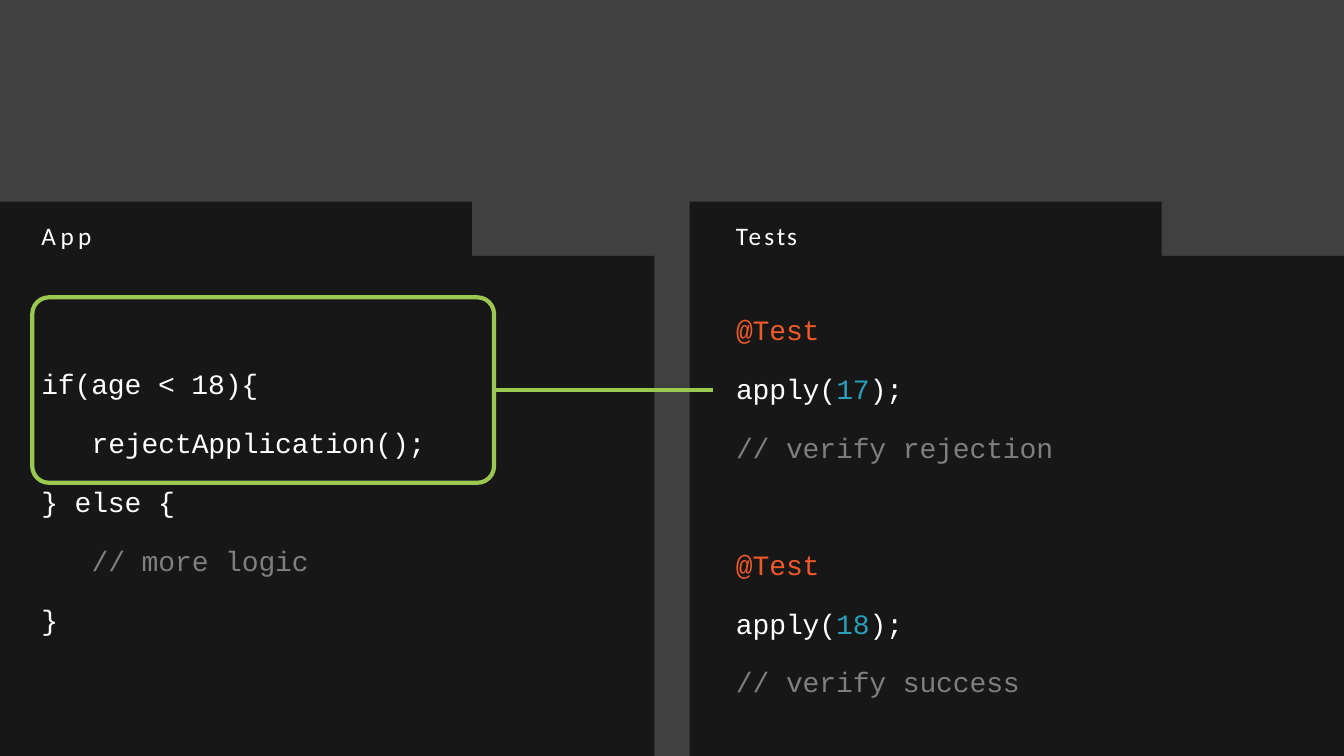
import pptx
import pptx.dml.color
import pptx.enum.shapes
import pptx.enum.text
import pptx.oxml
import pptx.util

Inches, Pt = pptx.util.Inches, pptx.util.Pt

SLIDE_W, SLIDE_H = 13.33, 7.5
PANEL_W, PANEL_TOP = 6.49, 2
TAB_W, TAB_H = 4.68, 0.54
WHITE, GREY, ORANGE, BLUE, GREEN = "FFFFFF", "7F7F7F", "F05A28", "2A9FBC", "9BC850"
CODE_SPACING = -0.1


def color(hex_value):
    return pptx.dml.color.RGBColor.from_string(hex_value)


def add_text(slide, box, lines, font, size):
    """Each line is (indent, runs); each run is (text, colour, letter spacing)."""
    textbox = slide.shapes.add_textbox(*map(Inches, box))
    frame = textbox.text_frame
    frame.word_wrap = True
    frame.auto_size = pptx.enum.text.MSO_AUTO_SIZE.SHAPE_TO_FIT_TEXT
    frame.margin_left = frame.margin_right = frame.margin_bottom = 0
    frame.margin_top = Inches(0.01)
    for number, (indent, runs) in enumerate(lines):
        paragraph = frame.add_paragraph() if number else frame.paragraphs[0]
        paragraph.space_before = Pt(18 if number else 1)
        paragraph._p.get_or_add_pPr().set("marL", str(Inches(indent + 0.01)))
        for text, hex_value, spacing in runs:
            run = paragraph.add_run()
            run.text = text
            run.font.name = font
            run.font.size = Pt(size)
            run.font.color.rgb = color(hex_value)
            run._r.get_or_add_rPr().set("spc", str(round(spacing * 100)))


def add_code(slide, box, lines):
    spaced = [(indent, [(text, hex_value, CODE_SPACING) for text, hex_value in runs])
              for indent, runs in lines]
    add_text(slide, box, spaced, "Courier New", 20)


def add_panel(slide, left, inset, label, label_width, spacings):
    """Dark panel with a tab at its top left and a letter-spaced label in the tab."""
    right, bottom = left + PANEL_W, SLIDE_H
    shoulder = PANEL_TOP + TAB_H
    outline = [(left + TAB_W, PANEL_TOP), (left + TAB_W, shoulder),
               (right, shoulder), (right, bottom), (left, bottom)]
    builder = slide.shapes.build_freeform(Inches(left), Inches(PANEL_TOP))
    builder.add_line_segments([(Inches(x), Inches(y)) for x, y in outline], close=True)
    panel = builder.convert_to_shape()
    panel.shadow.inherit = False
    panel.fill.solid()
    panel.fill.fore_color.rgb = color("171717")
    panel.line.fill.background()

    letters = [(letter, WHITE, spacing) for letter, spacing in zip(label, spacings)]
    add_text(slide, (left + inset, PANEL_TOP + 0.18, label_width, 0.33),
             [(0, letters)], "Calibri", 18)


def add_app_panel(slide, left):
    inset = 0.4
    add_panel(slide, left, inset, "App", 0.56, (3.4, 3, 2.6))
    add_code(slide, (left + inset, PANEL_TOP + 1.63, 3.86, 2.69), [
        (0, [("if(age < 18){", WHITE)]),
        (0.5, [("rejectApplication();", WHITE)]),
        (0, [("} else {", WHITE)]),
        (0.5, [("// more logic", GREY)]),
        (0, [("}", WHITE)]),
    ])


def add_tests_panel(slide, left):
    inset = 0.45
    add_panel(slide, left, inset, "Tests", 0.66, (0.2, 2.4, 1.8, 1.3, 1.9))
    tests = [("17", "rejection", 1.09, 3.19), ("18", "success", 3.42, 2.86)]
    for age, outcome, offset, width in tests:
        add_code(slide, (left + inset, PANEL_TOP + offset, width, 1.53), [
            (0, [("@Test", ORANGE)]),
            (0, [("apply(", WHITE), (age, BLUE), (");", WHITE)]),
            (0, [(f"// verify {outcome}", GREY)]),
        ])


def add_highlight(slide, box, link_length):
    """Rounded frame around the tested branch, linked to its test."""
    left, top, width, height = box
    frame = slide.shapes.add_shape(
        pptx.enum.shapes.MSO_SHAPE.ROUNDED_RECTANGLE, *map(Inches, box))
    frame.adjustments[0] = 0.09
    frame.shadow.inherit = False
    frame.fill.background()

    right, middle = left + width, top + height / 2
    link = slide.shapes.add_connector(
        pptx.enum.shapes.MSO_CONNECTOR.STRAIGHT,
        Inches(right), Inches(middle), Inches(right + link_length), Inches(middle))
    link.begin_connect(frame, 3)
    link._element.spPr.append(pptx.oxml.parse_xml(
        '<a:effectLst xmlns:a="http://schemas.openxmlformats.org/drawingml/2006/main"/>'))
    for part in (frame, link):
        part.line.color.rgb = color(GREEN)
        part.line.width = Pt(3)


def main():
    deck = pptx.Presentation()
    deck.slide_width, deck.slide_height = Inches(SLIDE_W), Inches(SLIDE_H)
    slide = deck.slides.add_slide(deck.slide_layouts[6])

    # Background
    slide.background.fill.solid()
    slide.background.fill.fore_color.rgb = color("404040")

    # Code panels and the link between them
    add_app_panel(slide, 0)
    add_tests_panel(slide, SLIDE_W - PANEL_W)
    add_highlight(slide, (0.32, 2.95, 4.58, 1.84), 2.17)

    deck.save("out.pptx")


if __name__ == "__main__":
    main()
